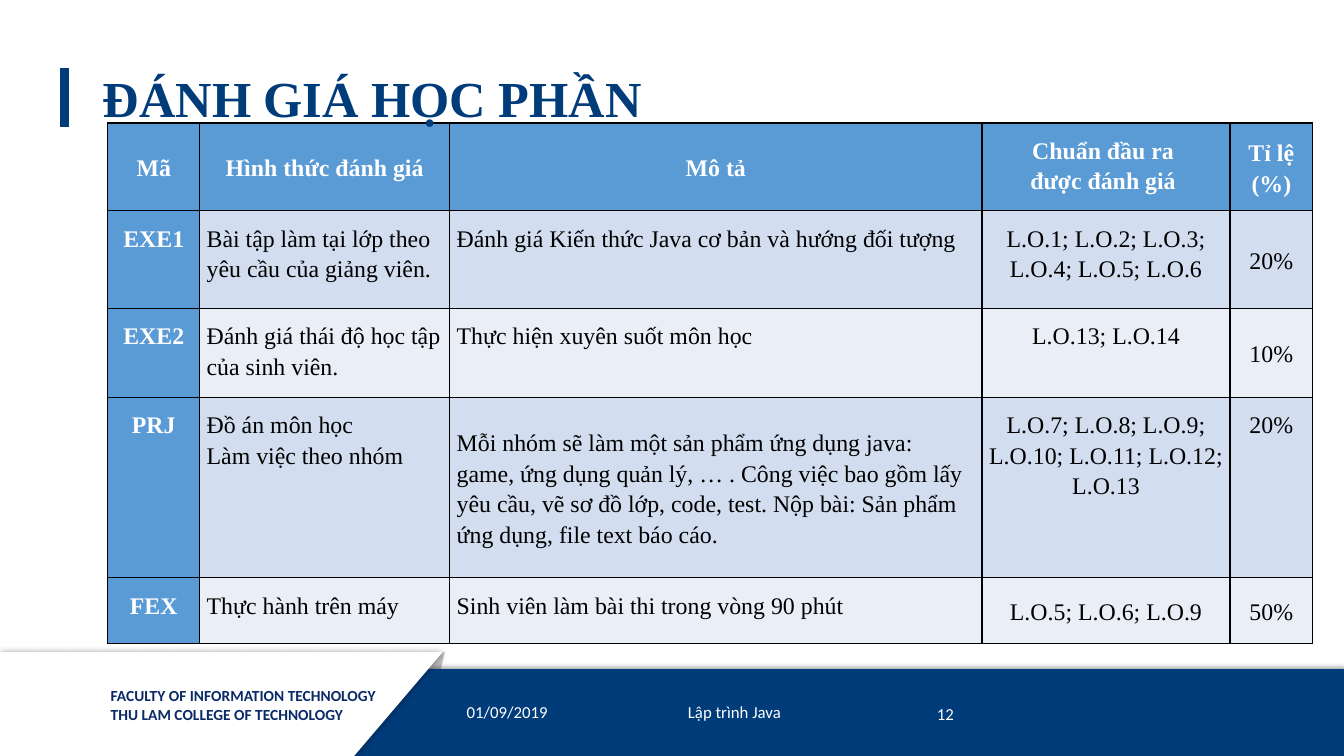
"""Builds the course assessment slide with its table and footer band."""
import dataclasses

import lxml.etree
import pptx
import pptx.dml.color
import pptx.enum.shapes
import pptx.enum.text
import pptx.oxml
import pptx.oxml.ns
import pptx.util

Inches, Pt = pptx.util.Inches, pptx.util.Pt
SHAPE = pptx.enum.shapes.MSO_SHAPE
ALIGN = pptx.enum.text.PP_ALIGN
ANCHOR = pptx.enum.text.MSO_ANCHOR
NO_FIT = pptx.enum.text.MSO_AUTO_SIZE.NONE

TITLE = "ĐÁNH GIÁ HỌC PHẦN"
ASSESSMENTS = [
    ("Mã", "Hình thức đánh giá", "Mô tả", "Chuẩn đầu ra \vđược đánh giá ", "Tỉ lệ (%)"),
    ("EXE1", "Bài tập làm tại lớp theo yêu cầu của giảng viên.",
     "Đánh giá Kiến thức Java cơ bản và hướng đối tượng",
     "L.O.1; L.O.2; L.O.3; L.O.4; L.O.5; L.O.6", "20%"),
    ("EXE2", "Đánh giá thái độ học tập của sinh viên.",
     "Thực hiện xuyên suốt môn học", "L.O.13; L.O.14", "10%"),
    ("PRJ", "Đồ án môn học\nLàm việc theo nhóm",
     "Mỗi nhóm sẽ làm một sản phẩm ứng dụng java: game, ứng dụng quản lý, … . "
     "Công việc bao gồm lấy yêu cầu, vẽ sơ đồ lớp, code, test. "
     "Nộp bài: Sản phẩm ứng dụng, file text báo cáo.",
     "L.O.7; L.O.8; L.O.9; L.O.10; L.O.11; L.O.12; L.O.13", "20%"),
    ("FEX", "Thực hành trên máy", "Sinh viên làm bài thi trong vòng 90 phút",
     "L.O.5; L.O.6; L.O.9", "50%"),
]
COLUMN_WIDTHS = [0.91, 2.48, 5.28, 2.46, 0.82]
ROW_HEIGHTS = [0.86, 0.97, 0.88, 1.79, 0.65]
CENTERED_COLUMNS = {0, 3, 4}
MIDDLE_CELLS = {(0, 0), (0, 1), (0, 2), (0, 4), (1, 4), (2, 4), (3, 2), (4, 3), (4, 4)}
FACULTY = "FACULTY OF INFORMATION TECHNOLOGY\nTHU LAM COLLEGE OF TECHNOLOGY"
FOOTER = [
    ("01/09/2019", (4.53, 6.86, 1.26, 0.4), ALIGN.LEFT),
    ("Lập trình Java", (5.97, 6.86, 2.63, 0.4), ALIGN.CENTER),
    ("12", (8.8, 6.88, 0.76, 0.4), ALIGN.RIGHT),
]


@dataclasses.dataclass(frozen=True)
class Theme:
    """Colours, fonts and type sizes of the slide."""
    navy: str = "003B7A"
    faculty: str = "092A67"
    header: str = "5B9BD5"
    bands: tuple = ("EAEFF7", "D2DEEF")
    fold: str = "BFBFBF"
    white: str = "FFFFFF"
    black: str = "000000"
    serif: str = "Times New Roman"
    sans: str = "Calibri"
    title_size: int = 36
    table_size: int = 17
    footer_size: int = 12
    faculty_size: int = 11


THEME = Theme()


def rgb(color):
    """Return a colour object for a hex string."""
    return pptx.dml.color.RGBColor.from_string(color)


def box(bounds):
    """Return left, top, width and height as lengths."""
    return [Inches(value) for value in bounds]


def style_text(frame, font, size, color, bold=False, align=ALIGN.LEFT, spacing=None):
    """Format every paragraph and run of a text frame."""
    for paragraph in frame.paragraphs:
        paragraph.alignment = align
        if spacing:
            paragraph.line_spacing = spacing
        for run in paragraph.runs:
            run.font.name, run.font.size, run.font.bold = font, Pt(size), bold
            run.font.color.rgb = rgb(color)


def add_panel(slide, kind, bounds, fill, line=None, turned=False, shadow=None):
    """Add a filled shape, optionally turned on its side and shadowed."""
    panel = slide.shapes.add_shape(kind, *box(bounds))
    panel.fill.solid()
    panel.fill.fore_color.rgb = rgb(fill)
    if line:
        panel.line.color.rgb, panel.line.width = rgb(line), Pt(1)
    else:
        panel.line.fill.background()
    if turned:
        panel.rotation = 270
        panel.element.spPr.xfrm.set("flipV", "1")
    panel.shadow.inherit = False
    if shadow:
        blur, distance, direction = shadow
        effects = panel.element.spPr.find(pptx.oxml.ns.qn("a:effectLst"))
        effects.append(pptx.oxml.parse_xml(
            f'<a:outerShdw {pptx.oxml.ns.nsdecls("a")} blurRad="{Pt(blur)}" '
            f'dist="{Pt(distance)}" dir="{direction * 60000}" algn="ctr" rotWithShape="0">'
            f'<a:srgbClr val="{THEME.black}"><a:alpha val="40000"/></a:srgbClr></a:outerShdw>'))


def add_label(slide, text, bounds, size, color, bold=False, align=ALIGN.LEFT,
              anchor=ANCHOR.MIDDLE):
    """Add a wrapped footer text box."""
    frame = slide.shapes.add_textbox(*box(bounds)).text_frame
    frame.word_wrap = True
    frame.vertical_anchor = anchor
    frame.text = text
    style_text(frame, THEME.sans, size, color, bold, align)


def add_footer(slide):
    """Add the footer band, its white tab and the labels on them."""
    add_panel(slide, SHAPE.FLOWCHART_MANUAL_INPUT, (3.35, 6.44, 1.03, 1.09), THEME.fold,
              turned=True)
    add_panel(slide, SHAPE.RECTANGLE, (-0.01, 6.64, 13.34, 0.86), THEME.navy,
              line=THEME.navy, shadow=(4, 2, 270))
    add_panel(slide, SHAPE.FLOWCHART_MANUAL_INPUT, (1.68, 4.79, 1.03, 4.39), THEME.white,
              turned=True, shadow=(5, 0, 0))
    add_label(slide, FACULTY, (1, 6.76, 3.06, 0.47), THEME.faculty_size, THEME.faculty,
              bold=True, anchor=ANCHOR.TOP)
    for text, bounds, align in FOOTER:
        add_label(slide, text, bounds, THEME.footer_size, THEME.white, align=align)


def add_title_bar(slide):
    """Add the upright line beside the title."""
    bar = slide.shapes.add_connector(
        pptx.enum.shapes.MSO_CONNECTOR.STRAIGHT, *box((0.64, 0.67, 0.64, 1.26)))
    bar.line.color.rgb, bar.line.width = rgb(THEME.navy), Pt(6)
    lxml.etree.SubElement(bar.element.spPr, pptx.oxml.ns.qn("a:effectLst"))


def add_borders(cell):
    """Draw thin black lines on all four sides of a cell."""
    properties = cell._tc.get_or_add_tcPr()
    for side in "LRTB":
        properties.append(pptx.oxml.parse_xml(
            f'<a:ln{side} {pptx.oxml.ns.nsdecls("a")} w="{Pt(1)}"><a:solidFill>'
            f'<a:srgbClr val="{THEME.black}"/></a:solidFill></a:ln{side}>'))


def add_assessments(slide):
    """Add the assessment table."""
    bounds = (1.07, 1.22, sum(COLUMN_WIDTHS), sum(ROW_HEIGHTS))
    table = slide.shapes.add_table(len(ROW_HEIGHTS), len(COLUMN_WIDTHS), *box(bounds)).table
    for column, width in zip(table.columns, COLUMN_WIDTHS):
        column.width = Inches(width)
    for row, height in zip(table.rows, ROW_HEIGHTS):
        row.height = Inches(height)
    for r, entries in enumerate(ASSESSMENTS):
        for c, text in enumerate(entries):
            cell = table.cell(r, c)
            heading = r == 0 or c == 0
            add_borders(cell)
            cell.fill.solid()
            cell.fill.fore_color.rgb = rgb(THEME.header if heading else THEME.bands[r % 2])
            cell.margin_left = cell.margin_right = Inches(0.07)
            cell.margin_top = cell.margin_bottom = Inches(0.11)
            cell.vertical_anchor = ANCHOR.MIDDLE if (r, c) in MIDDLE_CELLS else ANCHOR.TOP
            cell.text_frame.text = text
            centered = r == 0 or c in CENTERED_COLUMNS
            style_text(cell.text_frame, THEME.serif, THEME.table_size,
                       THEME.white if heading else THEME.black, heading,
                       ALIGN.CENTER if centered else ALIGN.LEFT, 1.15)


def place_title(slide):
    """Fill the title placeholder and bring it to the front."""
    title = slide.shapes.title
    title.left, title.top, title.width, title.height = box((0.92, 0.42, 11.5, 1.16))
    frame = title.text_frame
    frame.text = TITLE
    frame.word_wrap = True
    frame.auto_size = NO_FIT
    frame.vertical_anchor = ANCHOR.MIDDLE
    style_text(frame, THEME.serif, THEME.title_size, THEME.navy, True, spacing=0.9)
    title.element.getparent().append(title.element)


def main():
    """Build and save the slide."""
    deck = pptx.Presentation()
    deck.slide_width, deck.slide_height = Inches(13.33), Inches(7.5)
    slide = deck.slides.add_slide(deck.slide_layouts[5])
    add_footer(slide)
    add_title_bar(slide)
    add_assessments(slide)
    place_title(slide)
    deck.save("out.pptx")


if __name__ == "__main__":
    main()
